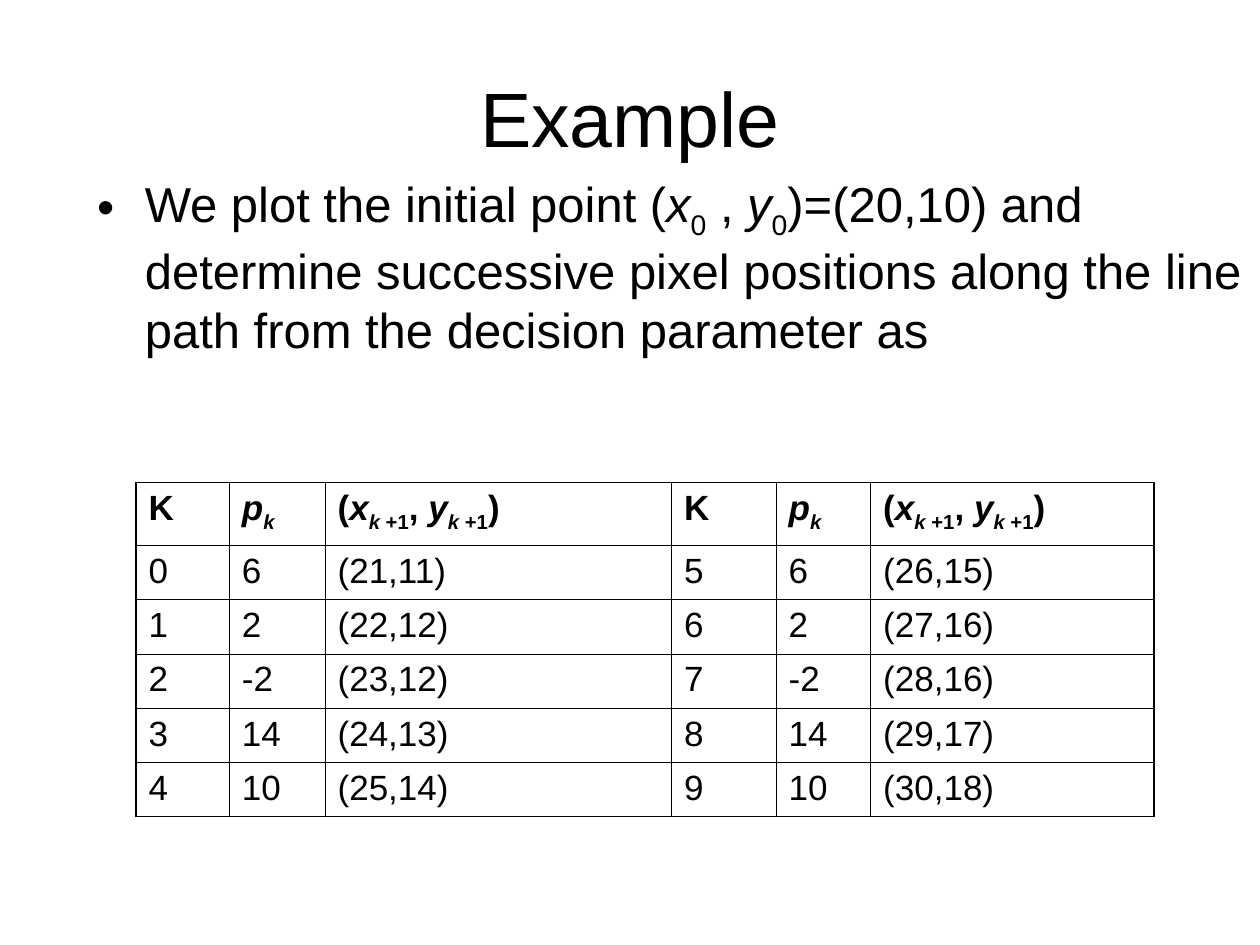
from dataclasses import dataclass

from lxml.etree import SubElement
from pptx import Presentation
from pptx.dml.color import RGBColor
from pptx.enum.text import MSO_ANCHOR as Anchor, PP_ALIGN as Align
from pptx.oxml import parse_xml
from pptx.oxml.ns import nsdecls, qn
from pptx.util import Inches, Pt


@dataclass(frozen=True)
class Theme:
    font: str = "Arial"
    ink: str = "000000"
    title: float = 44
    body: float = 28
    cell: float = 20
    thin: float = 0.45
    thick: float = 1.08


def add_text(p, pieces, *, theme, size, bold=False, align=None):
    """Add (text, marks) pieces; mark i is italic, s is subscript."""
    p.alignment = align
    p.space_before = Pt(0)
    for text, marks in pieces:
        r = p.add_run()
        r.text = text
        font = r.font
        font.name, font.size = theme.font, Pt(size)
        font.bold, font.italic = bold, "i" in marks
        font.color.rgb = RGBColor.from_string(theme.ink)
        if "s" in marks:
            font._element.set("baseline", "-25000")


class Deck:
    def __init__(self, theme, width, height):
        self.theme = theme
        self.prs = Presentation()
        self.prs.slide_width, self.prs.slide_height = Inches(width), Inches(height)
        self.slide = None

    def add_slide(self):
        self.slide = self.prs.slides.add_slide(self.prs.slide_layouts[1])

    def placeholder(self, index, box, anchor):
        sp = self.slide.placeholders[index]
        sp.left, sp.top, sp.width, sp.height = map(Inches, box)
        tf = sp.text_frame
        tf.word_wrap = True
        tf.vertical_anchor = anchor
        return tf.paragraphs[0]

    def title(self, text, box):
        p = self.placeholder(0, box, Anchor.MIDDLE)
        add_text(p, [(text, "")], theme=self.theme, size=self.theme.title,
                 align=Align.CENTER)

    def bullet(self, pieces, box, indent):
        p = self.placeholder(1, box, Anchor.TOP)
        props = p._p.get_or_add_pPr()
        props.set("marL", str(Inches(indent)))
        props.set("indent", str(-Inches(indent)))
        color = SubElement(props, qn("a:buClr"))
        SubElement(color, qn("a:srgbClr"), val=self.theme.ink)
        SubElement(props, qn("a:buFont"), typeface=self.theme.font)
        SubElement(props, qn("a:buChar"), char="•")
        add_text(p, pieces, theme=self.theme, size=self.theme.body)

    def border(self, cell, outer):
        """Draw all four sides, thick on the sides named in outer."""
        props = cell._tc.get_or_add_tcPr()
        for i, side in enumerate("LRTB"):
            width = self.theme.thick if side in outer else self.theme.thin
            props.insert(i, parse_xml(
                f'<a:ln{side} {nsdecls("a")} w="{Pt(width)}"><a:solidFill>'
                f'<a:srgbClr val="{self.theme.ink}"/></a:solidFill></a:ln{side}>'))

    def table(self, rows, left, top, widths, heights):
        table = self.slide.shapes.add_table(
            len(rows), len(widths), Inches(left), Inches(top),
            Inches(sum(widths)), Inches(sum(heights))).table
        table.first_row = table.horz_banding = False
        for column, width in zip(table.columns, widths):
            column.width = Inches(width)
        for row, height in zip(table.rows, heights):
            row.height = Inches(height)
        last_row, last_col = len(rows) - 1, len(widths) - 1
        for i, row in enumerate(rows):
            for j, pieces in enumerate(row):
                cell = table.cell(i, j)
                cell.fill.background()
                add_text(cell.text_frame.paragraphs[0], pieces, theme=self.theme,
                         size=self.theme.cell, bold=i == 0)
                edges = {"L": j == 0, "R": j == last_col,
                         "T": i == 0, "B": i == last_row}
                self.border(cell, [side for side, on in edges.items() if on])


INITIAL_POINT = [
    ("We plot the initial point (", ""), ("x", "i"), ("0", "s"), (" , ", ""),
    ("y", "i"), ("0", "s"),
    (")=(20,10) and determine successive pixel positions along the line path "
     "from the decision parameter as", ""),
]
NEXT_INDEX = [("k ", "is"), ("+1", "s")]
HEADER = [
    [("K", "")],
    [("p", "i"), ("k", "is")],
    [("(", ""), ("x", "i"), *NEXT_INDEX, (", ", ""), ("y", "i"), *NEXT_INDEX, (")", "")],
]
DECISIONS = [6, 2, -2, 14, 10, 6, 2, -2, 14, 10]
Y_VALUES = [11, 12, 12, 13, 14, 15, 16, 16, 17, 18]
HALF = len(DECISIONS) // 2


def step_cells(k):
    values = (k, DECISIONS[k], f"({21 + k},{Y_VALUES[k]})")
    return [[(str(value), "")] for value in values]


def main():
    deck = Deck(Theme(), 10, 7.5)
    deck.add_slide()
    deck.title("Example", (0.5, 0.3, 9, 1.25))
    deck.bullet(INITIAL_POINT, (0.67, 1.33, 9.33, 1.75), indent=0.38)
    rows = [HEADER * 2] + [step_cells(k) + step_cells(k + HALF) for k in range(HALF)]
    deck.table(rows, 1.08, 3.83, [0.74, 0.76, 2.75, 0.83, 0.75, 2.25],
               [0.5] + [0.43] * HALF)
    deck.prs.save("out.pptx")


if __name__ == "__main__":
    main()
